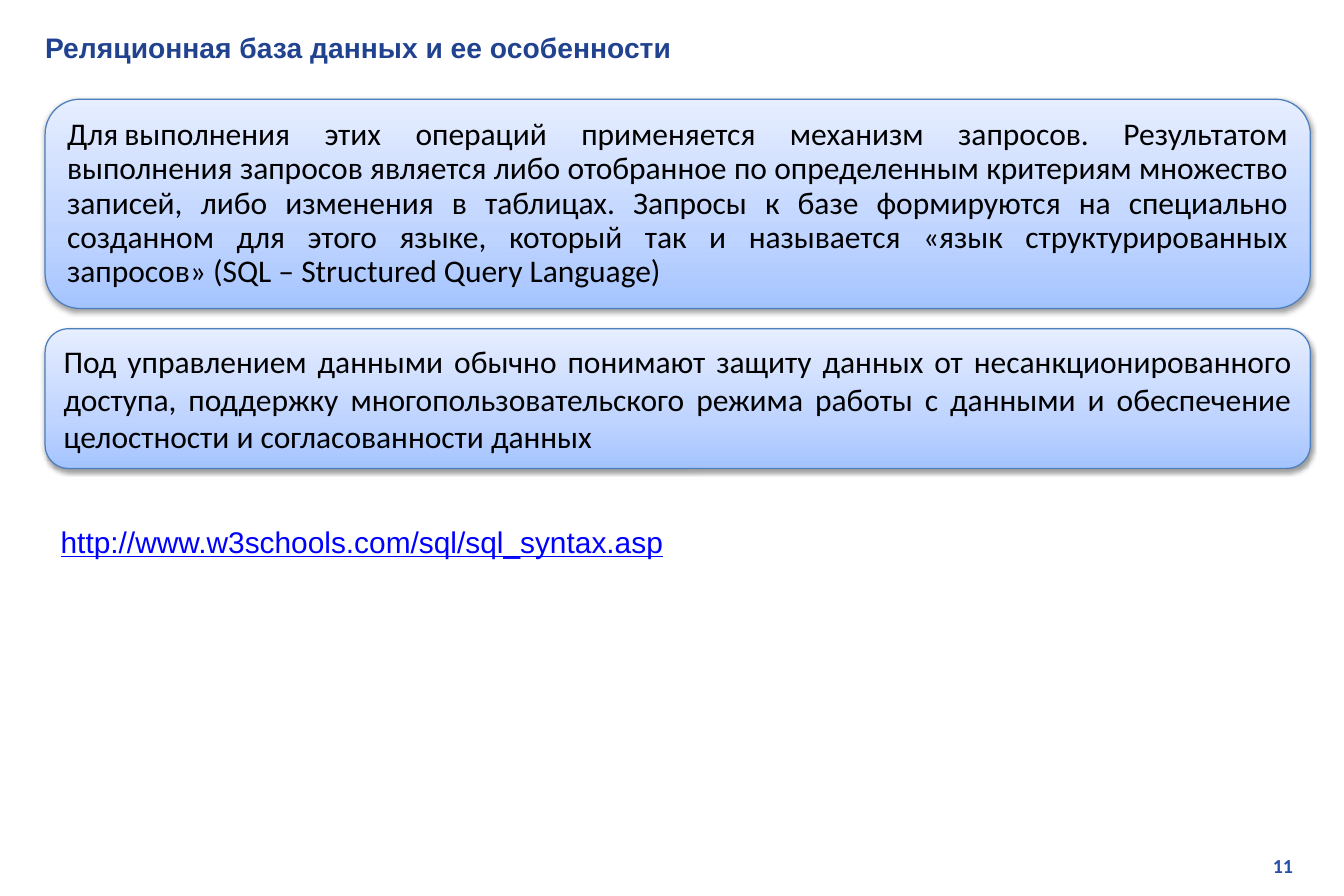
from lxml import etree
from pptx import Presentation
from pptx.dml.color import RGBColor
from pptx.enum.shapes import MSO_SHAPE
from pptx.enum.text import MSO_ANCHOR, PP_ALIGN
from pptx.oxml.ns import qn
from pptx.util import Cm, Pt

LEFT, RIGHT, JUSTIFY = PP_ALIGN.LEFT, PP_ALIGN.RIGHT, PP_ALIGN.JUSTIFY
TOP, MIDDLE = MSO_ANCHOR.TOP, MSO_ANCHOR.MIDDLE
ROUNDED = MSO_SHAPE.ROUNDED_RECTANGLE

# Content: left, top, width, height in cm
TITLE = ("Реляционная база данных и ее особенности", (0.71, 0.51, 27.28, 1.02))
ADDRESS = ("http://www.w3schools.com/sql/sql_syntax.asp", (1.04, 11, 13.44, 1.02))
PAGE_NUMBER = ("11", (21.69, 18.03, 6.05, 0.76))
CARDS = [  # text, height, line spacing, tab stop
    ("Для\tвыполнения этих операций применяется механизм запросов. "
     "Результатом выполнения запросов является либо отобранное по "
     "определенным критериям множество записей, либо изменения в таблицах. "
     "Запросы к базе формируются на специально созданном для этого языке, "
     "который так и называется «язык структурированных запросов» "
     "(SQL – Structured Query Language)", 4.45, 0.9, 1.22),
    ("Под управлением данными обычно понимают защиту данных от "
     "несанкционированного доступа, поддержку многопользовательского режима "
     "работы с данными и обеспечение целостности и согласованности данных",
     2.97, 1.0, None),
]
CARD_LEFT, CARD_TOP, CARD_WIDTH, CARD_GAP = 0.96, 2.11, 26.9, 0.43

# Styles: font, size, colour, bold, underline
THEME = {
    "title": ("Arial", 17, "21438F", True, False),
    "card": ("Calibri", 19, "000000", False, False),
    "address": ("Arial", 18, "0000FF", False, True),
    "number": ("Calibri", 12, "2750AB", True, False),
    "gradient": [(0, "A4C4FF"), (35, "BFD4FF"), (100, "E6EEFF")],
    "outline": ("4B7EBC", 0.75),
    "shadow": {"color": "000000", "alpha": 38, "blur": 3.1, "distance": 1.6},
}


def add_xml(parent, tag, **attributes):
    values = {name: str(value) for name, value in attributes.items()}
    return etree.SubElement(parent, qn(tag), values)


def write(box, text, style, align=LEFT, anchor=TOP, wrap=True):
    frame = box.text_frame
    frame.word_wrap = wrap
    frame.vertical_anchor = anchor
    para = frame.paragraphs[0]
    para.alignment = align
    span = para.add_run()
    span.text = text
    name, size, color, bold, underline = THEME[style]
    span.font.name, span.font.size = name, Pt(size)
    span.font.color.rgb = RGBColor.from_string(color)
    span.font.bold, span.font.underline = bold, underline
    return para


def add_text(page, item, style, **options):
    text, place = item
    box = page.shapes.add_textbox(*map(Cm, place))
    write(box, text, style, **options)


def decorate(card):
    # Gradient running upwards
    card.fill.gradient()
    card.fill.gradient_angle = 90
    properties = card.element.spPr
    stops = properties.find(qn("a:gradFill")).find(qn("a:gsLst"))
    for stop in list(stops):
        stops.remove(stop)
    for position, color in THEME["gradient"]:
        stop = add_xml(stops, "a:gs", pos=position * 1000)
        add_xml(stop, "a:srgbClr", val=color)

    # Outline
    color, width = THEME["outline"]
    card.line.color.rgb = RGBColor.from_string(color)
    card.line.width = Pt(width)

    # Soft shadow below
    card.shadow.inherit = False
    shade = THEME["shadow"]
    shadow = add_xml(properties.find(qn("a:effectLst")), "a:outerShdw",
                     blurRad=Pt(shade["blur"]), dist=Pt(shade["distance"]),
                     dir=90 * 60000, rotWithShape=0)
    tint = add_xml(shadow, "a:srgbClr", val=shade["color"])
    add_xml(tint, "a:alpha", val=shade["alpha"] * 1000)


def add_cards(page):
    top = CARD_TOP
    for text, height, spacing, tab in CARDS:
        card = page.shapes.add_shape(
            ROUNDED, *map(Cm, (CARD_LEFT, top, CARD_WIDTH, height)))
        decorate(card)
        para = write(card, text, "card", JUSTIFY, MIDDLE)
        if tab:
            tabs = add_xml(para._p.get_or_add_pPr(), "a:tabLst")
            add_xml(tabs, "a:tab", pos=Cm(tab), algn="l")
        para.line_spacing = spacing
        top += height + CARD_GAP


def main():
    deck = Presentation()
    deck.slide_width, deck.slide_height = Cm(28.575), Cm(19.05)
    page = deck.slides.add_slide(deck.slide_layouts[6])
    add_text(page, PAGE_NUMBER, "number", align=RIGHT)
    add_text(page, TITLE, "title")
    add_cards(page)
    add_text(page, ADDRESS, "address", wrap=False)
    deck.save("out.pptx")


if __name__ == "__main__":
    main()
